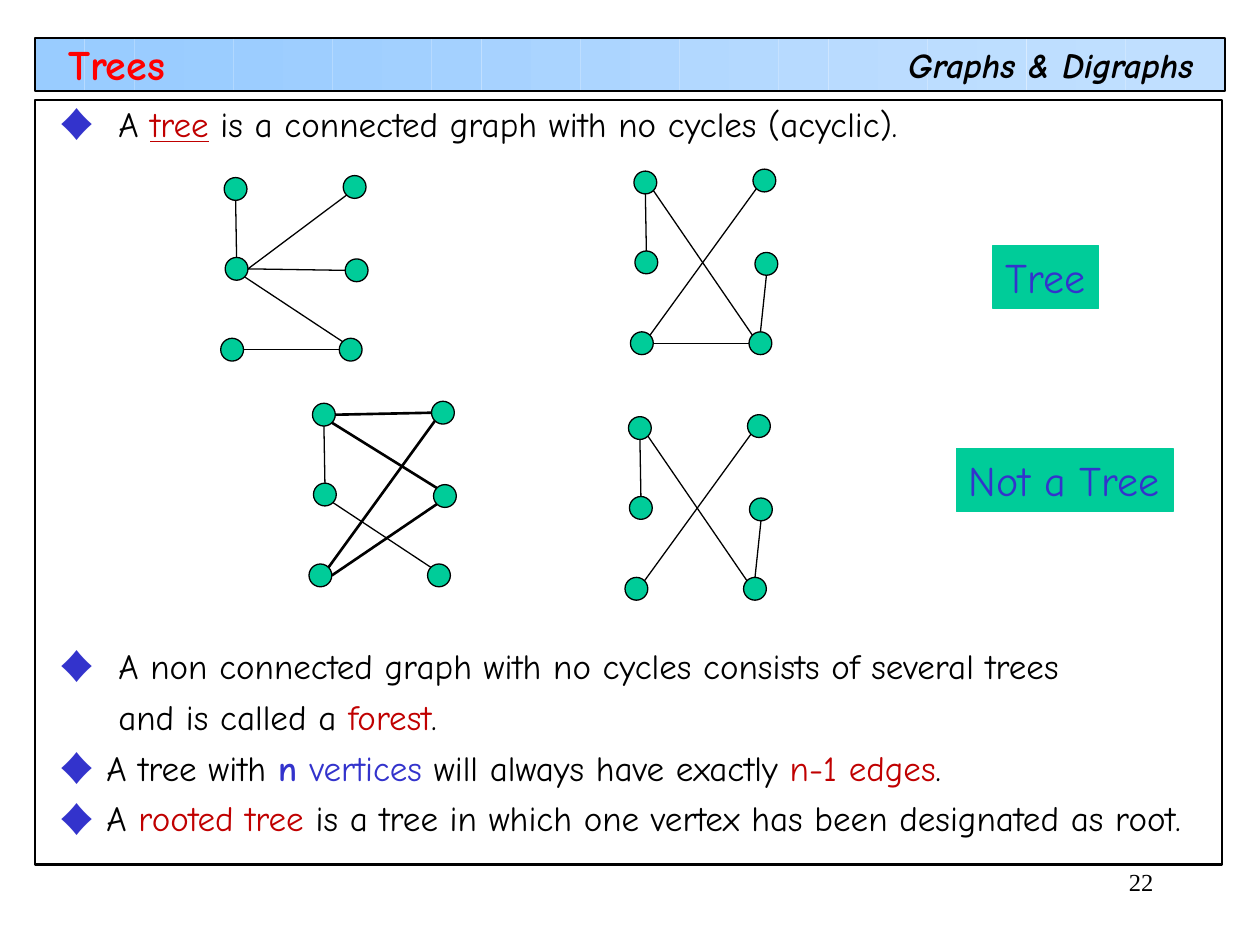
from lxml import etree
from pptx import Presentation
from pptx.dml.color import RGBColor
from pptx.enum.shapes import MSO_CONNECTOR, MSO_SHAPE
from pptx.enum.text import MSO_ANCHOR, MSO_AUTO_SIZE, PP_ALIGN
from pptx.oxml.ns import qn
from pptx.util import Cm, Pt

RECT, DOT = MSO_SHAPE.RECTANGLE, MSO_SHAPE.FLOWCHART_CONNECTOR
LINE = MSO_CONNECTOR.STRAIGHT
LEFT, RIGHT = PP_ALIGN.LEFT, PP_ALIGN.RIGHT
TOP, MIDDLE = MSO_ANCHOR.TOP, MSO_ANCHOR.MIDDLE
FIXED = MSO_AUTO_SIZE.NONE
BLACK, RED, BLUE, GREEN = "000000", "C00000", "3333CC", "00CC99"
FACE = "Comic Neue"


def color(text):
    return RGBColor.from_string(text)


def write(para, runs, base):
    """Add (text, format) runs; each format is laid over the base format."""
    for text, more in runs:
        run = para.add_run()
        run.text = text
        form = {"name": FACE, "color": BLACK, **base, **more}
        run.font.color.rgb = color(form.pop("color"))
        for key, value in form.items():
            setattr(run.font, key, value)


deck = Presentation()
deck.slide_width, deck.slide_height = Cm(25.4), Cm(19.05)
slide = deck.slides.add_slide(deck.slide_layouts[1])
shapes = slide.shapes
title, body = shapes.title, slide.placeholders[1]
tree = title.element.getparent()

# Header bands, their outline and the content frame
bands = """99CCFF 99CCFF 9ACCFF 9BCDFF 9CCDFF 9ECEFF A0CFFF A2D0FF A4D1FF A7D2FF
AAD4FF ACD5FF AFD6FF B2D8FF B4D9FF B7DAFF B9DBFF BBDCFF BCDDFF BDDEFF BEDEFF
BFDFFF C0DFFF C0DFFF""".split()
step = 23.98 / len(bands)
parts = [(RECT, (0.71 + i * step, 0.76, step, 1.07), tone, None, 0)
         for i, tone in enumerate(bands)]
parts += [(RECT, (0.71, 0.76, 23.98, 1.07), None, BLACK, 1.25),
          (RECT, (0.71, 2.01, 23.93, 15.42), None, BLACK, 1.25)]

# Graphs: origin, then edges as (node, side, node, side, weight)
size = 0.46
nodes = [(0, 0), (2.4, -0.04), (0.02, 1.61), (-0.07, 3.24), (2.32, 3.24), (2.44, 1.64)]
sides = {"N": (0.5, 0), "S": (0.5, 1), "W": (0, 0.5), "E": (1, 0.5),
         "NW": (0.15, 0.15), "NE": (0.85, 0.15), "SW": (0.15, 0.85), "SE": (0.85, 0.85)}
thin, bold = 0.75, 1.5
down = (0, "S", 2, "N", thin)
cross = [(0, "SE", 4, "NW", thin), down, (1, "SW", 3, "NE", thin), (4, "N", 5, "S", thin)]
base = (3, "E", 4, "W", thin)
graphs = [
    ((4.52, 3.58), [down, (2, "E", 1, "SW", thin), (2, "E", 5, "W", thin),
                    (2, "SE", 4, "NW", thin), base]),
    ((12.78, 3.45), cross + [base]),
    ((6.3, 8.13), [(0, "E", 1, "W", bold), (0, "SE", 5, "NW", bold), down,
                   (3, "NE", 1, "SW", bold), (3, "E", 5, "SW", bold),
                   (2, "SE", 4, "NW", thin)]),
    ((12.67, 8.4), cross),
]
parts += [(DOT, (left + x, top + y, size, size), GREEN, BLACK, thin)
          for (left, top), _ in graphs for x, y in nodes]

# All filled and outlined shapes
for kind, box, fill, edge, weight in parts:
    shape = shapes.add_shape(kind, *map(Cm, box))
    shape.shadow.inherit = False
    if fill:
        shape.fill.solid()
        shape.fill.fore_color.rgb = color(fill)
    else:
        shape.fill.background()
    if edge:
        shape.line.color.rgb = color(edge)
        shape.line.width = Pt(weight)
    else:
        shape.line.fill.background()

# Edges
for (left, top), edges in graphs:
    for a, out, b, to, weight in edges:
        ends = [Cm(start + nodes[n][k] + size * sides[side][k])
                for n, side in ((a, out), (b, to))
                for k, start in enumerate((left, top))]
        link = shapes.add_connector(LINE, *ends)
        link.line.color.rgb = color(BLACK)
        link.line.width = Pt(weight)
        etree.SubElement(link.element.spPr, qn("a:effectLst"))

# Header text, page number and labels
big = {"size": Pt(24), "color": BLUE}
texts = [
    ("Graphs & Digraphs", (18.06, 0.76, 6.3, 1.12), LEFT, None,
     {"size": Pt(20), "bold": True, "italic": True}),
    ("22", (20.12, 17.35, 3.38, 1.27), RIGHT, None,
     {"size": Pt(14), "name": "Times New Roman"}),
    ("Tree", (20.02, 4.95, 2.13, 1.27), LEFT, GREEN, big),
    ("Not a Tree", (19.28, 9.04, 4.37, 1.27), LEFT, GREEN, big),
]
for text, box, align, fill, form in texts:
    label = shapes.add_textbox(*map(Cm, box))
    if fill:
        label.fill.solid()
        label.fill.fore_color.rgb = color(fill)
        label.line.color.rgb = color(fill)
        label.line.width = Pt(0.75)
    label.text_frame.word_wrap = align == RIGHT
    para = label.text_frame.paragraphs[0]
    para.alignment = align
    write(para, [(text, {})], form)

# Title and body stand in front of the bands
for holder, box, anchor in ((title, (1.12, 0.97, 13.13, 0.64), MIDDLE),
                            (body, (0.94, 1.93, 23.65, 15.62), TOP)):
    tree.append(holder.element)
    for key, value in zip(("left", "top", "width", "height"), box):
        setattr(holder, key, Cm(value))
    for key, value in {"auto_size": FIXED, "word_wrap": True,
                       "vertical_anchor": anchor}.items():
        setattr(holder.text_frame, key, value)
head = title.text_frame.paragraphs[0]
head.alignment = LEFT
write(head, [("Trees", {})], {"size": Pt(24), "bold": True, "color": "FF0000"})

# List: bullet shown, text indent, space before, runs
red, blue = {"color": RED}, {"color": BLUE}
items = [
    (True, 1.19, 0, [("A ", {}), ("tree", {**red, "underline": True}),
                     (" is a connected graph with no cycles (acyclic).", {})]),
    (True, 1.19, 286, [("A non connected graph with no cycles consists of several trees", {})]),
    (False, 1.19, 5, [("and is called a ", {}), ("forest", red), (".", {})]),
    (True, 0.95, 5, [("A tree with ", {}), ("n ", {**blue, "bold": True}),
                     ("vertices ", blue), ("will always have exactly ", {}),
                     ("n-1 edges", red), (".", {})]),
    (True, 0.95, 5, [("A ", {}), ("rooted tree ", red),
                     ("is a tree in which one vertex has been designated as root.", {})]),
]
for i, (mark, indent, gap, runs) in enumerate(items):
    para = body.text_frame.add_paragraph() if i else body.text_frame.paragraphs[0]
    props = para._p.get_or_add_pPr()
    props.set("marL", str(Cm(indent)))
    props.set("indent", str(-Cm(indent) if mark else 0))
    if mark:
        tint = etree.SubElement(props, qn("a:buClr"))
        etree.SubElement(tint, qn("a:srgbClr"), val=BLUE)
        etree.SubElement(props, qn("a:buFont"), typeface=FACE)
        etree.SubElement(props, qn("a:buChar"), char="♦")
    else:
        etree.SubElement(props, qn("a:buNone"))
    para.space_before = Pt(gap)
    write(para, runs, {"size": Pt(20)})

deck.save("out.pptx")
